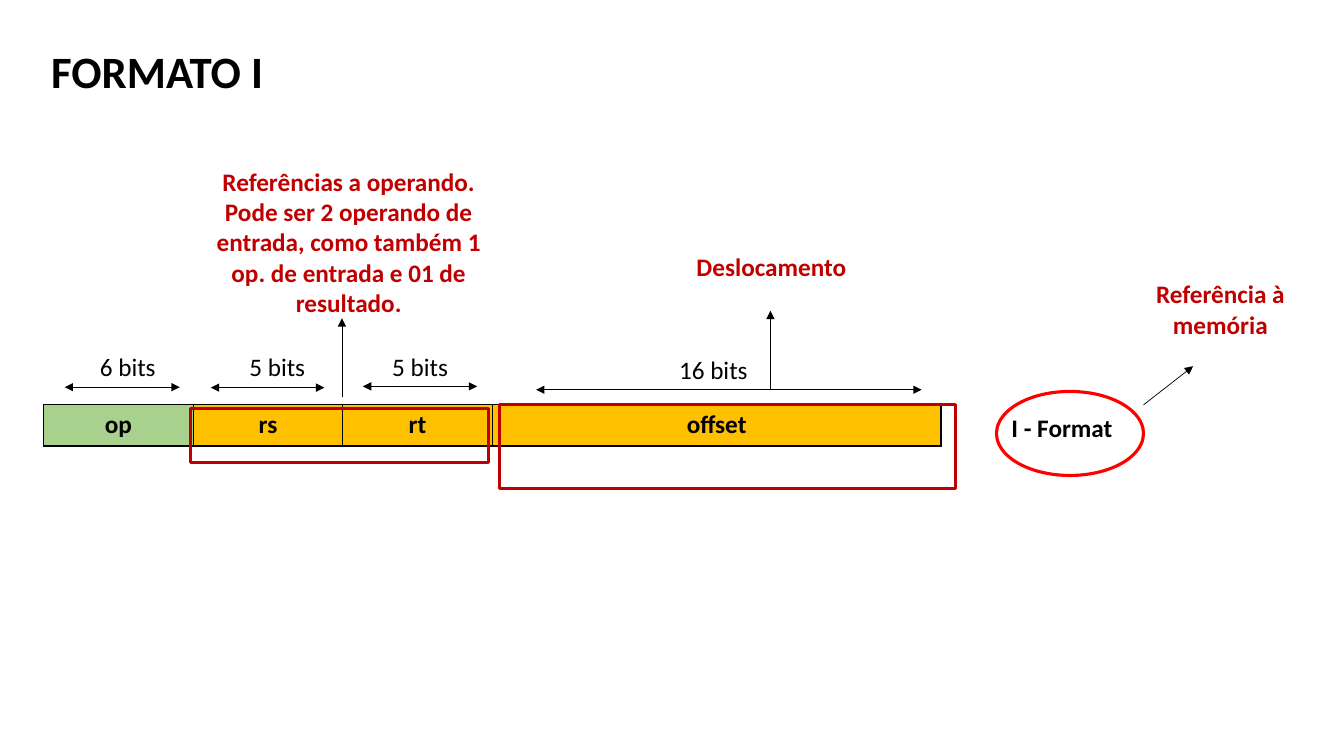
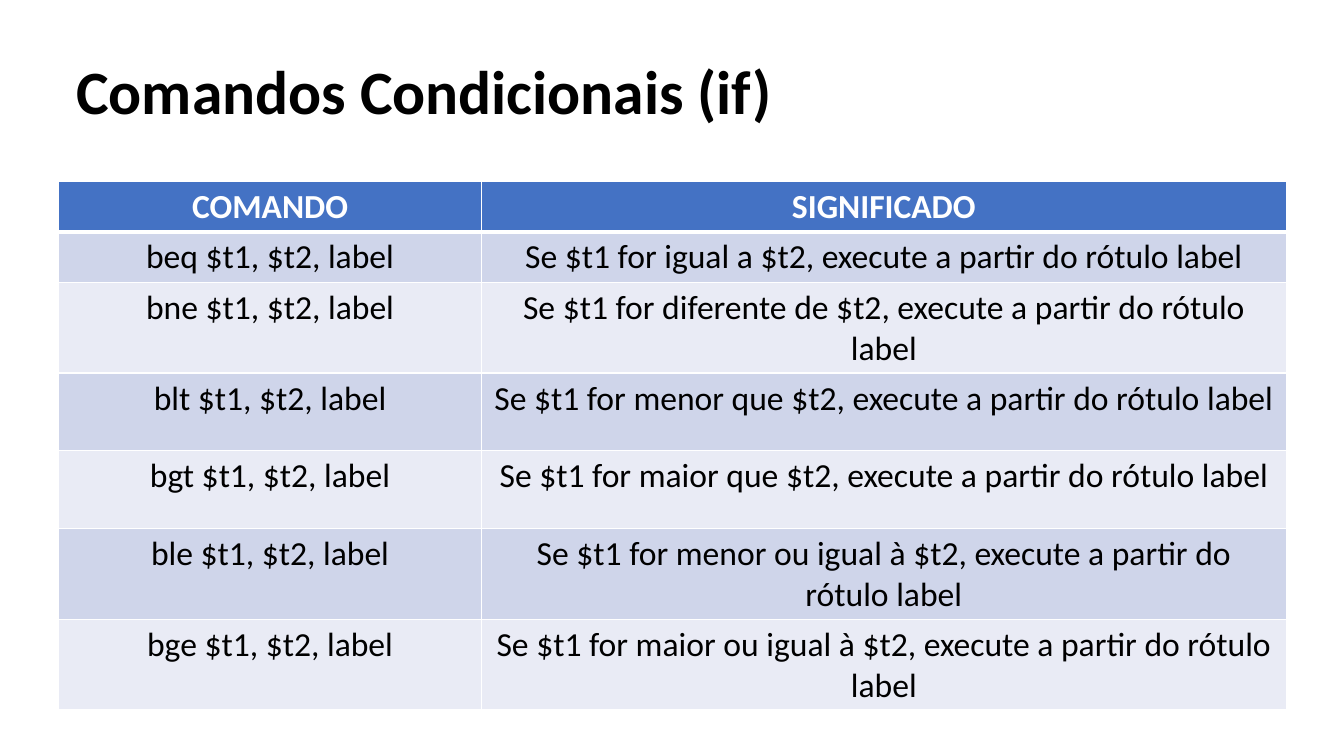
from lxml import etree
from pptx import Presentation
from pptx.dml.color import RGBColor
from pptx.enum.shapes import MSO_CONNECTOR, MSO_SHAPE
from pptx.enum.text import MSO_ANCHOR, PP_ALIGN
from pptx.oxml.ns import qn
from pptx.util import Inches, Pt

STRAIGHT = MSO_CONNECTOR.STRAIGHT
ELLIPSE, RECTANGLE = MSO_SHAPE.OVAL, MSO_SHAPE.RECTANGLE
LEFT, CENTER = PP_ALIGN.LEFT, PP_ALIGN.CENTER
TOP, MIDDLE = MSO_ANCHOR.TOP, MSO_ANCHOR.MIDDLE

FONT = "Calibri"
BLACK, WHITE = "000000", "FFFFFF"
DARK_RED, RED = "C00000", "FF0000"
GREEN, AMBER = "A9D18E", "FFC000"
HEADER_BLUE, BANDS = "4472C4", ("CFD5EA", "E9EBF5")

SLIDE_WIDTH, SLIDE_HEIGHT = 13.33, 7.5
CELLS_PER_INCH = 12
BLANK_LAYOUT = 6

FIELD_LEFT, FIELD_TOP, FIELD_WIDTH, FIELD_HEIGHT = 5.2, 48.2, 17.8, 4.9
FIELDS = (("op", 1, GREEN), ("rs", 1, AMBER), ("rt", 1, AMBER), ("offset", 3, AMBER))
BIT_WIDTHS = (
    ("6 bits", 7.6, 41.2, 7.7, 21.4, 46.1),
    ("5 bits", 25.4, 41.2, 25.1, 38.6, 46.15),
    ("5 bits", 42.4, 41.2, 43.2, 56.8, 46),
    ("16 bits", 77.3, 41.6, 63.8, 109.7, 46.4),
)
CALLOUTS = (
    (("Referências a operando.",
      "Pode ser 2 operando de entrada, como também 1 op. de entrada e 01 de resultado."),
     (22.7, 19.2, 37.6, 19.4), (40.7, 47.3), (40.7, 37.9)),
    (("Deslocamento",), (73, 29.3, 37.6, 4.8), (91.7, 46.4), (91.7, 37)),
    (("Referência à", "memória"), (133.8, 32.6, 22.9, 8.5), (136.1, 48.2), (142, 43.6)),
)
OUTLINES = (
    (ELLIPSE, (118.6, 46.6, 17.5, 10), RED),
    (RECTANGLE, (22.7, 48.6, 35.4, 6.5), DARK_RED),
    (RECTANGLE, (59.5, 48.2, 54.2, 10), DARK_RED),
)
BRANCHES = (
    ("beq", "igual a"),
    ("bne", "diferente de"),
    ("blt", "menor que"),
    ("bgt", "maior que"),
    ("ble", "menor ou igual à"),
    ("bge", "maior ou igual à"),
)


def grid(*cells):
    return [Inches(cell / CELLS_PER_INCH) for cell in cells]


def color(value):
    return RGBColor.from_string(value)


def write(frame, *lines, size=18, ink=BLACK, bold=False, align=CENTER,
          anchor=TOP, spacing=1.0):
    frame.word_wrap = True
    frame.vertical_anchor = anchor
    for index, line in enumerate(lines):
        paragraph = frame.paragraphs[0] if index == 0 else frame.add_paragraph()
        paragraph.alignment = align
        paragraph.line_spacing = spacing
        run = paragraph.add_run()
        run.text = line
        run.font.name = FONT
        run.font.size = Pt(size)
        run.font.bold = bold
        run.font.color.rgb = color(ink)


def add_text(slide, box, *lines, **text_format):
    write(slide.shapes.add_textbox(*grid(*box)).text_frame, *lines, **text_format)


def add_title(slide, box, text, **text_format):
    add_text(slide, box, text, bold=True, align=LEFT, **text_format)


def add_outline(slide, kind, box, ink):
    shape = slide.shapes.add_shape(kind, *grid(*box))
    shape.shadow.inherit = False
    shape.fill.background()
    shape.line.color.rgb = color(ink)
    shape.line.width = Pt(2.25)


def add_arrow(slide, start, end, both_ends=False):
    connector = slide.shapes.add_connector(STRAIGHT, *grid(*start, *end))
    connector.line.color.rgb = color(BLACK)
    connector.line.width = Pt(0.5)
    line = connector.line._get_or_add_ln()
    for tag in ("a:headEnd", "a:tailEnd") if both_ends else ("a:tailEnd",):
        etree.SubElement(line, qn(tag), type="triangle")
    etree.SubElement(connector._element.spPr, qn("a:effectLst"))


def set_borders(cell, ink, **widths):
    properties = cell._tc.get_or_add_tcPr()
    for side in "LRTB":
        width = Pt(widths.get(side, 1))
        line = etree.SubElement(properties, qn("a:ln" + side), w=str(width))
        fill = etree.SubElement(line, qn("a:solidFill"))
        etree.SubElement(fill, qn("a:srgbClr"), val=ink)


def fill_cell(cell, text, background, border, widths=None, **text_format):
    set_borders(cell, border, **(widths or {}))
    cell.fill.solid()
    cell.fill.fore_color.rgb = color(background)
    write(cell.text_frame, text, **text_format)


def add_table(slide, left, top, column_widths, row_heights):
    frame = slide.shapes.add_table(
        len(row_heights), len(column_widths),
        *grid(left, top, sum(column_widths), sum(row_heights)))
    table = frame.table
    table.first_row = table.horz_banding = False
    for column, width in zip(table.columns, grid(*column_widths)):
        column.width = width
    for row, height in zip(table.rows, grid(*row_heights)):
        row.height = height
    return table


def build_format_slide(slide):
    add_title(slide, (4.9, 4.6, 98.8, 7.7), "FORMATO I", size=32)
    table = add_table(slide, FIELD_LEFT, FIELD_TOP,
                      [share * FIELD_WIDTH for _, share, _ in FIELDS], [FIELD_HEIGHT])
    for column, (name, _, background) in enumerate(FIELDS):
        fill_cell(table.cell(0, column), name, background, BLACK, bold=True)
    add_text(slide, (119.2, 48.5, 22.9, 4.8), "I - Format", bold=True, align=LEFT)
    for label, left, top, start, end, level in BIT_WIDTHS:
        add_text(slide, (left, top, 15.2, 4.9), label)
        add_arrow(slide, (start, level), (end, level), both_ends=True)
    for lines, box, start, end in CALLOUTS:
        add_text(slide, box, *lines, ink=DARK_RED, bold=True)
        add_arrow(slide, start, end)
    for outline in OUTLINES:
        add_outline(slide, *outline)


def build_branch_slide(slide):
    add_title(slide, (7.9, 2.5, 138, 17.4), "Comandos Condicionais (if)",
              size=44, anchor=MIDDLE, spacing=0.9)
    table = add_table(slide, 7, 21.6, [50.3, 95.8], [5.4] * 2 + [9.25] * 5)
    for column, heading in enumerate(("COMANDO", "SIGNIFICADO")):
        fill_cell(table.cell(0, column), heading, HEADER_BLUE, WHITE, {"B": 3},
                  size=24, ink=WHITE, bold=True)
    for row, (command, relation) in enumerate(BRANCHES, start=1):
        texts = (f"{command} $t1, $t2, label",
                 f"Se $t1 for {relation} $t2, execute a partir do rótulo label")
        for column, text in enumerate(texts):
            fill_cell(table.cell(row, column), text, BANDS[(row - 1) % 2], WHITE,
                      {"T": 3 if row == 1 else 1}, size=24)


def main():
    presentation = Presentation()
    presentation.slide_width = Inches(SLIDE_WIDTH)
    presentation.slide_height = Inches(SLIDE_HEIGHT)
    layout = presentation.slide_layouts[BLANK_LAYOUT]
    for build in (build_format_slide, build_branch_slide):
        build(presentation.slides.add_slide(layout))
    presentation.save("out.pptx")


if __name__ == "__main__":
    main()
